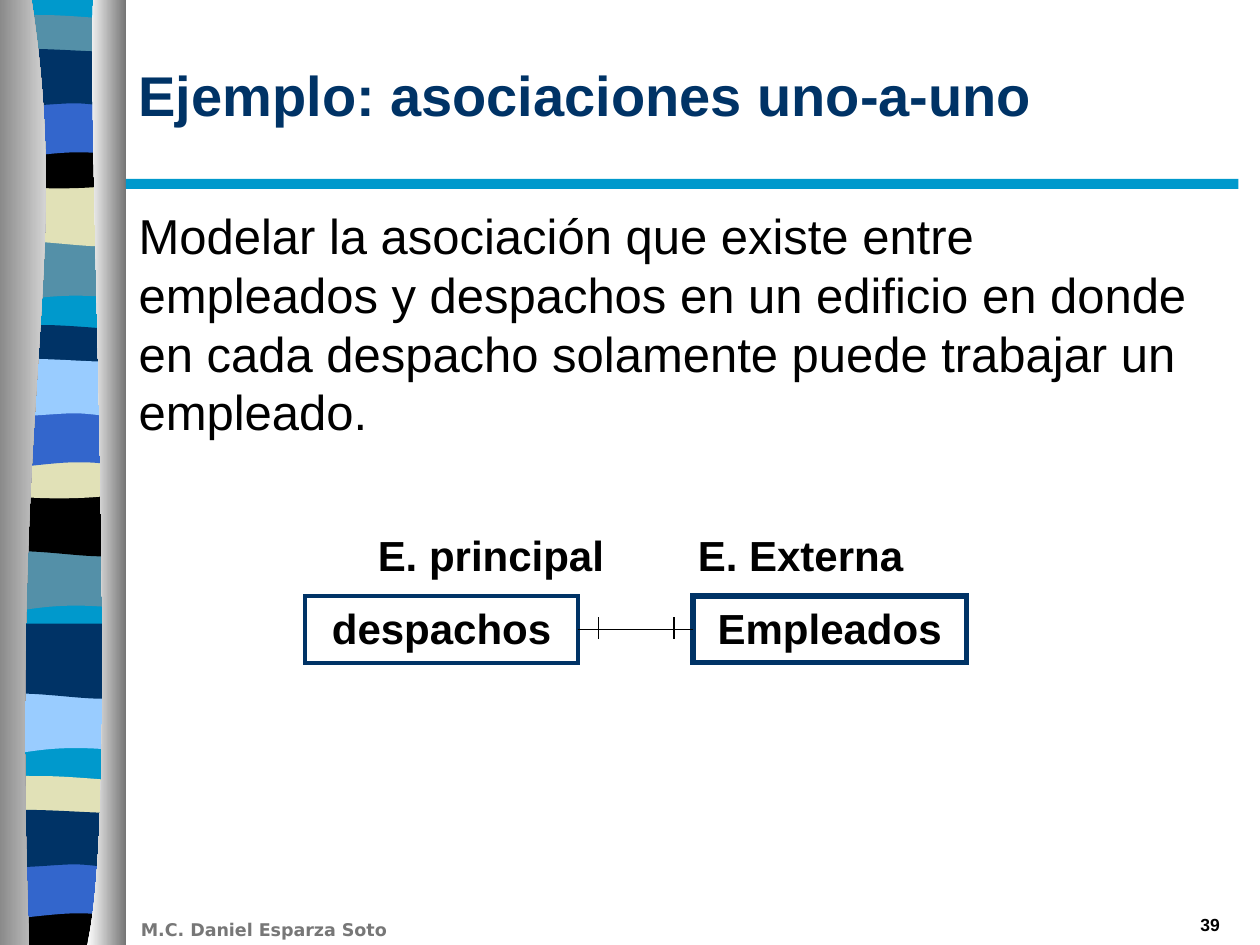
from lxml import etree
from pptx import Presentation
from pptx.dml.color import RGBColor
from pptx.enum.shapes import MSO_CONNECTOR, MSO_SHAPE
from pptx.enum.text import MSO_ANCHOR, MSO_AUTO_SIZE, PP_ALIGN
from pptx.oxml.ns import qn
from pptx.util import Inches, Pt

NAVY = RGBColor(0x00, 0x33, 0x66)
CYAN = RGBColor(0x00, 0x99, 0xCC)
TEAL = RGBColor(0x54, 0x90, 0xA8)
CREAM = RGBColor(0xE1, 0xE1, 0xB7)
BLUE = RGBColor(0x33, 0x66, 0xCC)
SKY = RGBColor(0x99, 0xCC, 0xFF)
BLACK = RGBColor(0, 0, 0)
WHITE = RGBColor(0xFF, 0xFF, 0xFF)
GREY = RGBColor(0x76, 0x76, 0x76)
FOOTER_GREY = RGBColor(0x77, 0x77, 0x77)

RECT = MSO_SHAPE.RECTANGLE
STRAIGHT = MSO_CONNECTOR.STRAIGHT
MIDDLE, TOP = MSO_ANCHOR.MIDDLE, MSO_ANCHOR.TOP
NO_FIT = MSO_AUTO_SIZE.NONE
LEFT, CENTER, RIGHT = PP_ALIGN.LEFT, PP_ALIGN.CENTER, PP_ALIGN.RIGHT

# The slide is a grid of 1000 columns by 750 rows.
COLS, ROWS = 1000, 750
UNIT = Inches(0.01)

# Outlines of the wavy bands: pairs are line ends, sextets are Bezier curves.
WAVE_DEEP = [(98, 185), (98, 232), (27, 224, 13, 240, -5, 232), (-5, 185)]
WAVE_LOW = [(98, 141), (98, 188), (81, 196, 27, 182, -4, 188), (-4, 141)]
WAVE_THIN = [(98, 21), (98, 45), (81, 50, 13, 50, -5, 45), (-5, 21),
             (2, 16, 18, 17, 35, 17), (52, 17, 85, 20, 98, 21)]
WAVE_SAG = [(98, 108), (98, 140), (81, 146, 13, 146, -4, 140), (-4, 108),
            (59, 113, 77, 108, 98, 108)]
WAVE_ARCH = [(98, 74), (98, 121), (82, 116, 76, 116, 59, 116),
             (42, 116, 11, 121, -4, 121), (-4, 74)]
WAVE_FLAT = [(98, 46), (98, 77), (92, 82, 76, 77, 59, 77),
             (42, 77, 6, 82, -5, 77), (-5, 46), (10, 41, 65, 46, 82, 46)]
WAVES = [WAVE_DEEP, WAVE_LOW, WAVE_THIN, WAVE_SAG, WAVE_ARCH, WAVE_FLAT]
OVERLAP = 5

# For each set: the rows each wave moves down, and the wave's colour.
BAND_SETS = [
    ([0] * 6, [TEAL, CREAM, TEAL, BLACK, BLUE, NAVY]),
    ([246] * 6, [TEAL, BLACK, NAVY, CREAM, BLUE, SKY]),
    ([359, 359, 604, 604, 604, 604], [SKY, NAVY, CREAM, BLACK, BLUE, NAVY]),
]
LEFT_PILLAR = [(25, 0), (58, 216, 7, 296, 23, 750), (-9, 750), (-10, 0)]
RIGHT_PILLAR = [(74, 0), (69, 125, 96, 646, 69, 750), (100, 750), (100, 0)]


def grid(*lengths):
    return [int(n * UNIT) for n in lengths]


def add_outline(s, outline, down=0, overlap=0):
    """Draw an outline whose upper and lower halves spread by the overlap."""
    points = [seg[i:i + 2] for seg in outline for i in range(0, len(seg), 2)]
    rows = [y for _, y in points]
    middle = (min(rows) + max(rows)) / 2
    points = [grid(x, y + down + (overlap if y > middle else -overlap))
              for x, y in points]
    builder = s.shapes.build_freeform(*points[0], scale=1.0)
    builder.add_line_segments(points[1:], close=True)
    sp = builder.convert_to_shape()
    lines = iter(list(sp._element.iter(qn("a:lnTo"))))
    for seg in outline[1:]:
        line = next(lines)
        if len(seg) == 6:
            line.addprevious(curve := etree.Element(qn("a:cubicBezTo")))
            for part in (line, next(lines), next(lines)):
                curve.append(part[0])
                part.getparent().remove(part)
    sp.shadow.inherit = False
    sp.line.fill.background()
    return sp


def add_pillar(s, outline, colors):
    sp = add_outline(s, outline)
    sp.fill.gradient()
    sp.fill.gradient_angle = 0
    for stop, color in zip(sp.fill.gradient_stops, colors):
        stop.color.rgb = color


def add_solid(s, at, color):
    sp = s.shapes.add_shape(RECT, *grid(*at))
    sp.shadow.inherit = False
    sp.fill.solid()
    sp.fill.fore_color.rgb = color
    sp.line.fill.background()


def write(sp, text, size, color=BLACK, bold=True, align=LEFT, anchor=MIDDLE,
          font="Arial"):
    tf = sp.text_frame
    tf.word_wrap = True
    tf.auto_size = NO_FIT
    tf.vertical_anchor = anchor
    p = tf.paragraphs[0]
    p.alignment = align
    p.space_before = Pt(0)
    r = p.add_run()
    r.text = text
    r.font.name, r.font.size, r.font.bold = font, Pt(size), bold
    r.font.color.rgb = color
    return p


def add_text(s, at, text, size, **style):
    return write(s.shapes.add_textbox(*grid(*at)), text, size, **style)


def fill_placeholder(sp, at, text, size, **style):
    sp.left, sp.top, sp.width, sp.height = grid(*at)
    return write(sp, text, size, **style)


def add_entity(s, left, text, weight):
    sp = s.shapes.add_shape(RECT, *grid(left, 473, 217, 53))
    sp.shadow.inherit = False
    sp.fill.background()
    sp.line.color.rgb = NAVY
    sp.line.width = Pt(weight)
    etree.SubElement(sp.line._get_or_add_ln(), qn("a:miter"), lim="800000")
    write(sp, text, 24, align=CENTER, anchor=TOP)
    return sp


def add_line(s, x1, y1, x2, y2):
    line = s.shapes.add_connector(STRAIGHT, *grid(x1, y1, x2, y2))
    line.line.color.rgb = BLACK
    line.line.width = Pt(0.75)
    etree.SubElement(line._element.spPr, qn("a:effectLst"))
    return line


def add_ribbon(s):
    add_solid(s, (-5, 0, 103, 748), CYAN)
    for shifts, colors in BAND_SETS:
        for wave, down, color in zip(WAVES, shifts, colors):
            sp = add_outline(s, wave, down, OVERLAP)
            sp.fill.solid()
            sp.fill.fore_color.rgb = color
    add_pillar(s, LEFT_PILLAR, (GREY, WHITE))
    add_pillar(s, RIGHT_PILLAR, (WHITE, GREY))


def add_diagram(s):
    employees = add_entity(s, 550, "Empleados", 3)
    offices = add_entity(s, 242, "despachos", 2.25)
    link = add_line(s, 550, 499.5, 459, 499.5)
    link.begin_connect(employees, 1)
    link.end_connect(offices, 3)
    for x in (475, 535):
        add_line(s, x, 490, x, 507)
    p = add_text(s, (290, 415, 550, 50), "E. principal\tE. Externa", 24)
    tabs = etree.SubElement(p._p.get_or_add_pPr(), qn("a:tabLst"))
    etree.SubElement(tabs, qn("a:tab"), pos=str(254 * UNIT), algn="l")


def main():
    prs = Presentation()
    prs.slide_width, prs.slide_height = grid(COLS, ROWS)
    s = prs.slides.add_slide(prs.slide_layouts[1])
    add_ribbon(s)
    add_solid(s, (100, 142, 883, 8), CYAN)
    fill_placeholder(s.shapes.title, (100, 12, 878, 125),
                     "Ejemplo: asociaciones uno-a-uno", 32, color=NAVY)
    p = fill_placeholder(
        s.placeholders[1], (100, 158, 878, 575),
        "Modelar la asociación que existe entre empleados y despachos en un "
        "edificio en donde en cada despacho solamente puede trabajar un "
        "empleado.", 28, bold=False, anchor=TOP)
    pPr = p._p.get_or_add_pPr()
    pPr.set("marL", "0")
    pPr.set("indent", "0")
    etree.SubElement(pPr, qn("a:buNone"))
    add_diagram(s)
    add_text(s, (102, 724, 283, 27), "M.C. Daniel Esparza Soto", 10,
             color=FOOTER_GREY, font="DejaVu Sans")
    add_text(s, (770, 721, 208, 26), "39", 10, align=RIGHT)
    prs.save("out.pptx")


if __name__ == "__main__":
    main()
